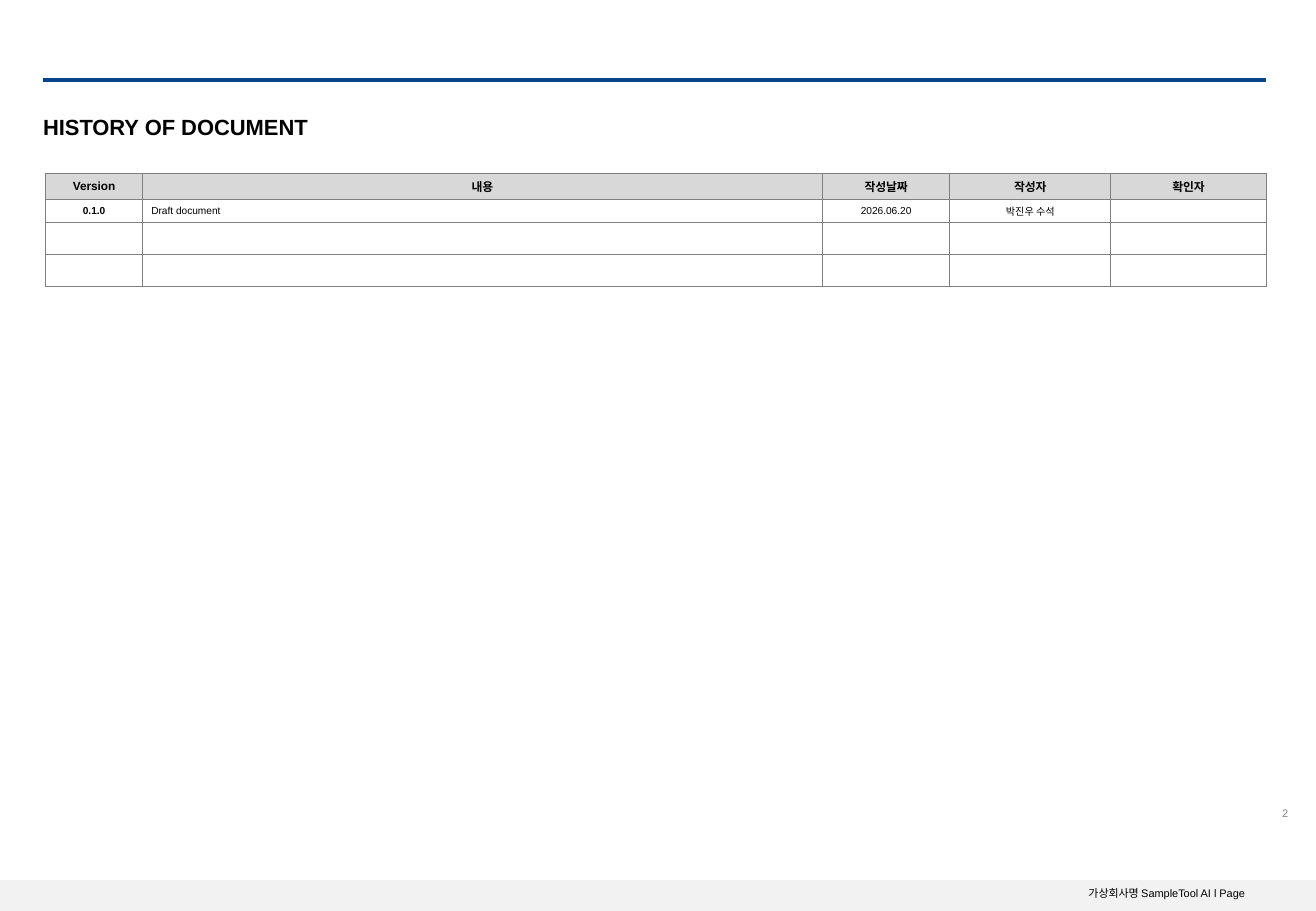
"""Build the document history slide with its revision table."""
from dataclasses import dataclass

from lxml.etree import SubElement
from pptx import Presentation
from pptx.dml.color import RGBColor
from pptx.enum.shapes import MSO_CONNECTOR, MSO_SHAPE
from pptx.enum.text import MSO_ANCHOR, PP_ALIGN
from pptx.oxml.ns import qn
from pptx.slide import Slide
from pptx.table import _Cell as Cell
from pptx.text.text import _Paragraph as Paragraph
from pptx.util import Pt


@dataclass(frozen=True)
class Theme:
    font: str = "Arial"
    black: str = "000000"
    white: str = "FFFFFF"
    rule: str = "00458A"
    band: str = "F2F2F2"
    number: str = "888888"
    header: str = "D8D8D8"
    border: str = "7F7F7F"
    title_size: float = 13
    header_size: float = 7
    small_size: float = 6.5
    body_size: float = 6
    empty_size: float = 9


THEME = Theme()


@dataclass(frozen=True)
class Label:
    text: str
    left: float
    top: float
    width: float
    height: float
    size: float
    color: str = THEME.black
    bold: bool = False
    align: PP_ALIGN = PP_ALIGN.RIGHT
    anchor: MSO_ANCHOR = MSO_ANCHOR.MIDDLE
    line_spacing: float = 1.0


@dataclass(frozen=True)
class Column:
    heading: str
    width: float
    align: PP_ALIGN = PP_ALIGN.CENTER
    bold: bool = False


LABELS = (
    Label("가상회사명 SampleTool AI l Page", 584.5, 522.5, 159.5, 14, THEME.small_size,
          anchor=MSO_ANCHOR.TOP),
    Label("HISTORY OF DOCUMENT", 19.5, 67, 723.5, 18, THEME.title_size, bold=True,
          align=PP_ALIGN.LEFT, line_spacing=0.9),
    Label("2", 728.5, 477.5, 41, 9, THEME.small_size, THEME.number),
)
COLUMNS = (
    Column("Version", 57.5, bold=True),
    Column("내용", 403, PP_ALIGN.LEFT),
    Column("작성날짜", 75.5),
    Column("작성자", 95.5),
    Column("확인자", 92),
)
REVISIONS = (
    ("0.1.0", "Draft document", "2026.06.20", "박진우 수석", ""),
    ("",) * len(COLUMNS),
    ("",) * len(COLUMNS),
)
ROW_HEIGHTS = (15.4, 13.7, 19, 19)


def add_run(paragraph: Paragraph, text: str, size: float, color: str, bold: bool) -> None:
    """Append one formatted run to a paragraph."""
    run = paragraph.add_run()
    run.text = text
    run.font.name = THEME.font
    run.font.size = Pt(size)
    run.font.bold = bold
    run.font.color.rgb = RGBColor.from_string(color)


def add_label(slide: Slide, label: Label) -> None:
    """Place a text box for one label."""
    box = slide.shapes.add_textbox(
        Pt(label.left), Pt(label.top), Pt(label.width), Pt(label.height))
    frame = box.text_frame
    frame.word_wrap = True
    frame.vertical_anchor = label.anchor
    frame.margin_left = frame.margin_right = Pt(6)
    frame.margin_top = frame.margin_bottom = Pt(3)
    paragraph = frame.paragraphs[0]
    paragraph.alignment = label.align
    paragraph.line_spacing = label.line_spacing
    add_run(paragraph, label.text, label.size, label.color, label.bold)


def add_footer_band(slide: Slide) -> None:
    """Draw the grey band along the bottom edge."""
    band = slide.shapes.add_shape(
        MSO_SHAPE.RECTANGLE, Pt(0), Pt(521.7), Pt(780), Pt(18.3))
    band.shadow.inherit = False
    band.fill.solid()
    band.fill.fore_color.rgb = RGBColor.from_string(THEME.band)
    band.line.fill.background()


def add_rule(slide: Slide) -> None:
    """Draw the blue rule above the title."""
    rule = slide.shapes.add_connector(
        MSO_CONNECTOR.STRAIGHT, Pt(25.5), Pt(47.5), Pt(750.4), Pt(47.5))
    rule.line.width = Pt(2.25)
    rule.line.color.rgb = RGBColor.from_string(THEME.rule)
    SubElement(rule._element.spPr, qn("a:effectLst"))


def style_cell(cell: Cell, fill: str) -> None:
    """Set the margins, borders and fill of a table cell."""
    cell.vertical_anchor = MSO_ANCHOR.MIDDLE
    cell.margin_left = cell.margin_right = Pt(5.2)
    cell.margin_top = cell.margin_bottom = Pt(2.6)
    properties = cell._tc.get_or_add_tcPr()
    for side in ("lnL", "lnR", "lnT", "lnB"):
        line = SubElement(properties, qn(f"a:{side}"), w=str(Pt(0.75)))
        line_fill = SubElement(line, qn("a:solidFill"))
        SubElement(line_fill, qn("a:srgbClr"), val=THEME.border)
    cell.fill.solid()
    cell.fill.fore_color.rgb = RGBColor.from_string(fill)


def fill_cell(cell: Cell, text: str, column: Column, is_header: bool) -> None:
    """Write and style one cell of the history table."""
    style_cell(cell, THEME.header if is_header else THEME.white)
    paragraph = cell.text_frame.paragraphs[0]
    paragraph.alignment = PP_ALIGN.CENTER if is_header else column.align
    if text:
        size = THEME.header_size if is_header else THEME.body_size
        add_run(paragraph, text, size, THEME.black, is_header or column.bold)


def add_history_table(slide: Slide) -> None:
    """Draw the revision table."""
    rows = (tuple(column.heading for column in COLUMNS), *REVISIONS)
    width = sum(column.width for column in COLUMNS)
    shape = slide.shapes.add_table(
        len(rows), len(COLUMNS), Pt(27), Pt(103), Pt(width), Pt(sum(ROW_HEIGHTS)))
    table = shape.table
    table.first_row = table.horz_banding = False
    for table_column, column in zip(table.columns, COLUMNS):
        table_column.width = Pt(column.width)
    for row_index, (texts, height) in enumerate(zip(rows, ROW_HEIGHTS)):
        table.rows[row_index].height = Pt(height)
        empty_size = THEME.empty_size if not any(texts) else THEME.body_size
        for column_index, (text, column) in enumerate(zip(texts, COLUMNS)):
            cell = table.cell(row_index, column_index)
            fill_cell(cell, text, column, row_index == 0)
            if not text:
                SubElement(cell.text_frame.paragraphs[0]._p, qn("a:endParaRPr"),
                           sz=str(int(empty_size * 100)))


def main() -> None:
    """Create and save the presentation."""
    presentation = Presentation()
    presentation.slide_width = Pt(780)
    presentation.slide_height = Pt(540)
    slide = presentation.slides.add_slide(presentation.slide_layouts[6])
    add_footer_band(slide)
    add_rule(slide)
    for label in LABELS:
        add_label(slide, label)
    add_history_table(slide)
    presentation.save("out.pptx")


if __name__ == "__main__":
    main()
